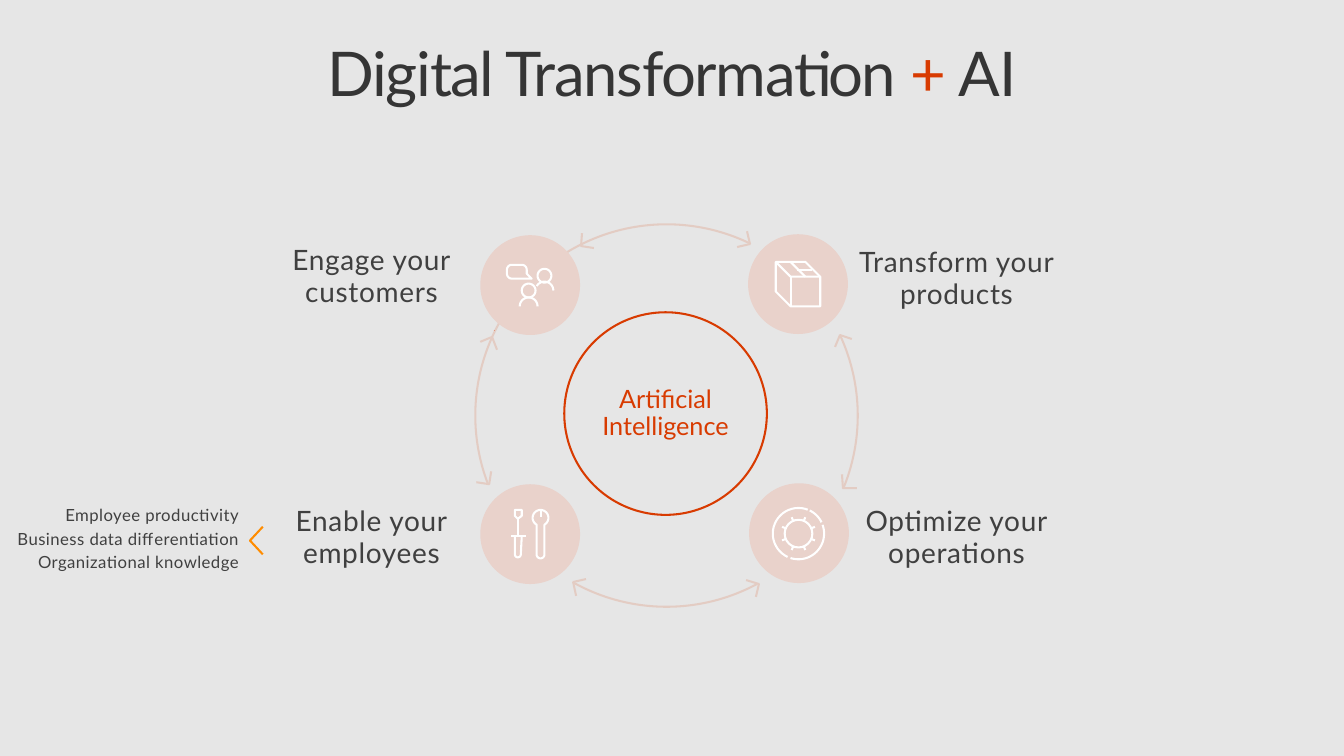
from math import cos, radians, sin

from lxml.etree import SubElement
from pptx import Presentation
from pptx.dml.color import RGBColor
from pptx.enum.shapes import MSO_CONNECTOR as Connector, MSO_SHAPE as Shape
from pptx.enum.text import MSO_ANCHOR as Anchor, MSO_AUTO_SIZE as AutoSize, PP_ALIGN as Align
from pptx.oxml.ns import qn
from pptx.util import Inches, Pt

BACKGROUND = RGBColor(0xE6, 0xE6, 0xE6)
ACCENT = RGBColor(0xD8, 0x3B, 0x01)
BLUSH = RGBColor(0xE9, 0xD2, 0xCB)
ORANGE = RGBColor(0xFF, 0x8C, 0x00)
WHITE = RGBColor(0xFF, 0xFF, 0xFF)
BODY = RGBColor(0x40, 0x40, 0x40)
HEADING = RGBColor(0x35, 0x35, 0x35)


def arc(x, y, radius, start, end, steps=24):
    angles = [radians(start + (end - start) * i / steps) for i in range(steps + 1)]
    return [(x + radius * cos(a), y + radius * sin(a)) for a in angles]


class SlideBuilder:
    font = "Lato"
    line_width = Pt(1.5)

    def __init__(self, slide):
        self.slide = slide
        self.shapes = slide.shapes
        fill = slide.background.fill
        fill.solid()
        fill.fore_color.rgb = BACKGROUND

    def outline(self, shape, color):
        if color is None:
            shape.line.fill.background()
        else:
            shape.line.color.rgb = color
            shape.line.width = self.line_width

    def shape(self, kind, box, fill=None, line=None, opacity=None):
        shape = self.shapes.add_shape(kind, *map(Inches, box))
        shape.shadow.inherit = False
        if fill is None:
            shape.fill.background()
        else:
            shape.fill.solid()
            shape.fill.fore_color.rgb = fill
        if opacity:
            color = shape._element.spPr.find(".//" + qn("a:srgbClr"))
            SubElement(color, qn("a:alpha")).set("val", str(opacity * 1000))
        self.outline(shape, line)
        return shape

    def circle(self, x, y, diameter, fill=None, line=None):
        return self.shape(Shape.OVAL, (x, y, diameter, diameter), fill, line)

    def outlines(self, contours, color):
        scaled = [[(Inches(x), Inches(y)) for x, y in points] for points in contours]
        builder = self.shapes.build_freeform(*scaled[0][0], scale=1.0)
        builder.add_line_segments(scaled[0][1:], close=False)
        for points in scaled[1:]:
            builder.move_to(*points[0])
            builder.add_line_segments(points[1:], close=False)
        shape = builder.convert_to_shape()
        shape.shadow.inherit = False
        shape.fill.background()
        self.outline(shape, color)

    def line(self, start, end, color):
        connector = self.shapes.add_connector(Connector.STRAIGHT, *map(Inches, start + end))
        self.outline(connector, color)
        SubElement(connector._element.spPr, qn("a:effectLst"))

    def set_text(self, shape, paragraphs, size, margins, spacing=0, leading=0.9,
                 after=0, align=Align.CENTER, anchor=Anchor.TOP, auto_size=AutoSize.NONE):
        frame = shape.text_frame
        side, edge = map(Inches, margins)
        frame_format = {"word_wrap": True, "auto_size": auto_size, "vertical_anchor": anchor,
                        "margin_left": side, "margin_right": side,
                        "margin_top": edge, "margin_bottom": edge}
        for name, value in frame_format.items():
            setattr(frame, name, value)
        paragraph_format = {"alignment": align, "line_spacing": leading,
                            "space_before": Pt(0), "space_after": Pt(after)}
        for index, runs in enumerate(paragraphs):
            paragraph = frame.add_paragraph() if index else frame.paragraphs[0]
            for name, value in paragraph_format.items():
                setattr(paragraph, name, value)
            for text, color in runs:
                run = paragraph.add_run()
                run.text = text
                for name, value in {"name": self.font, "size": Pt(size)}.items():
                    setattr(run.font, name, value)
                run.font.color.rgb = color
                run._r.get_or_add_rPr().set("spc", str(round(spacing * 100)))

    def text(self, box, lines, **style):
        shape = self.shapes.add_textbox(*map(Inches, box))
        self.set_text(shape, [[(line, BODY)] for line in lines], margins=(0.2, 0.16),
                      auto_size=AutoSize.SHAPE_TO_FIT_TEXT, **style)

    def label(self, x, y, text):
        self.text((x, y, 2.4, 0.99), [text], size=20.4, spacing=0.5, leading=0.95,
                  anchor=Anchor.MIDDLE)

    def title(self, box, runs):
        title = self.shapes.title
        for name, value in zip(("left", "top", "width", "height"), box):
            setattr(title, name, Inches(value))
        self.set_text(title, [runs], size=44.9, margins=(0.16, 0.1), spacing=-1)


def draw_ring(page):
    page.circle(4.81, 2.27, 3.87, line=ACCENT)
    corners = [
        ((4.71, 4.74), [[(4.86, 3.46), (4.98, 3.41), (5.03, 3.54)],
                        [(4.82, 4.88), (4.95, 4.9), (4.97, 4.77)]]),
        ((7.42, 4.74), [[(5.83, 6.03), (5.8, 5.89), (5.93, 5.86)],
                        [(7.65, 6.04), (7.68, 5.91), (7.55, 5.87)]]),
        ((7.42, 2.23), [[(8.67, 4.94), (8.53, 4.94), (8.52, 4.8)],
                        [(8.62, 3.43), (8.5, 3.39), (8.45, 3.51)],
                        [(5.89, 2.36), (5.88, 2.49), (6.01, 2.51)],
                        [(7.46, 2.5), (7.59, 2.47), (7.56, 2.34)]]),
    ]
    for (x, y), arrowheads in corners:
        page.circle(x, y, 1.32, BACKGROUND)
        for points in arrowheads:
            page.outlines([points], ACCENT)
    veil = page.shape(Shape.PIE, (4.68, 2.04, 4.28, 4.26), BACKGROUND, opacity=85)
    veil.adjustments[0] = 122.645
    veil.adjustments[1] = 94.272


def draw_customers(page):
    page.circle(4.86, 2.38, 1.01, BLUSH)
    page.outlines([arc(5.51, 2.79, 0.07, 0, 360), arc(5.35, 2.94, 0.07, 0, 360),
                   arc(5.35, 3.1, 0.09, 180, 360), arc(5.51, 2.94, 0.09, 210, 360)], WHITE)
    page.outlines([arc(5.18, 2.77, 0.05, 90, 180) + arc(5.18, 2.73, 0.05, 180, 270)
                   + arc(5.28, 2.73, 0.05, 270, 360)
                   + [(5.33, 2.77), (5.38, 2.82), (5.18, 2.82)]], WHITE)


def draw_tools(page):
    page.circle(4.86, 4.9, 1.01, BLUSH)
    tip = [(5.21, 5.16), (5.28, 5.16), (5.28, 5.22), (5.24, 5.25), (5.21, 5.22), (5.21, 5.16)]
    handle = [(5.21, 5.42)] + arc(5.24, 5.61, 0.03, 180, 0) + [(5.28, 5.42)]
    page.outlines([tip, [(5.24, 5.25), (5.24, 5.42)], [(5.17, 5.42), (5.32, 5.42)], handle], WHITE)
    head = arc(5.47, 5.24, 0.08, 60, -240)
    grip = arc(5.47, 5.61, 0.04, 180, 0)
    page.outlines([head + grip + head[:1], [(5.47, 5.16), (5.47, 5.23)]], WHITE)


def draw_gear(page):
    x, y = 8.08, 5.4
    page.circle(7.58, 4.89, 1.01, BLUSH)
    for tooth in range(8):
        inner, outer = (arc(x, y, radius, 22.5 + 45 * tooth, 0)[0] for radius in (0.14, 0.18))
        page.line(inner, outer, WHITE)
    for start, end in ((291, 115), (-26, -64), (108, -20)):
        page.outlines([arc(x, y, 0.26, start, end)], WHITE)
    page.circle(7.94, 5.26, 0.28, line=WHITE)


def draw_box(page):
    page.circle(7.57, 2.37, 1.01, BLUSH)
    page.outlines([[(8.3, 2.8), (8.15, 2.65), (7.85, 2.65), (7.85, 2.95),
                    (8, 3.1), (8.3, 3.1), (8.3, 2.8)]], WHITE)
    page.outlines([[(8.3, 2.8), (8, 2.8), (7.85, 2.65)]], WHITE)
    for start, end in (((8, 2.8), (8, 3.1)), ((8, 2.65), (8.15, 2.8)), ((8.07, 2.73), (8.22, 2.73))):
        page.line(start, end, WHITE)


def main():
    presentation = Presentation()
    presentation.slide_width, presentation.slide_height = Inches(13.6), Inches(7.65)
    page = SlideBuilder(presentation.slides.add_slide(presentation.slide_layouts[5]))

    page.title((0.3, 0.34, 13, 1),
               [("Digital Transformation ", HEADING), ("+", ACCENT), (" AI", HEADING)])
    page.text((-0.1, 4.97, 2.72, 1),
              ["Employee productivity", "Business data differentiation", "Organizational knowledge"],
              size=12.2, spacing=0.3, after=4.1, align=Align.RIGHT)
    page.outlines([[(2.66, 5.33), (2.53, 5.47), (2.66, 5.61)]], ORANGE)
    page.label(2.56, 4.95, "Enable your employees")
    page.label(8.48, 4.95, "Optimize your operations")
    page.label(8.48, 2.33, "Transform your products")

    draw_ring(page)
    for draw_icon in (draw_customers, draw_tools, draw_gear, draw_box):
        draw_icon(page)

    page.circle(5.71, 3.16, 2.05, BACKGROUND, ACCENT)
    center = page.shape(Shape.OVAL, (5.25, 3.13, 2.97, 2.12))
    page.set_text(center, [[("Artificial Intelligence", ACCENT)]], size=18.4,
                  margins=(0, 0.16), anchor=Anchor.MIDDLE)
    page.label(2.56, 2.31, "Engage your customers")
    page.shape(Shape.RECTANGLE, (4.63, 3.35, 0.44, 1.63), BACKGROUND, opacity=85)
    presentation.save("out.pptx")


if __name__ == "__main__":
    main()
